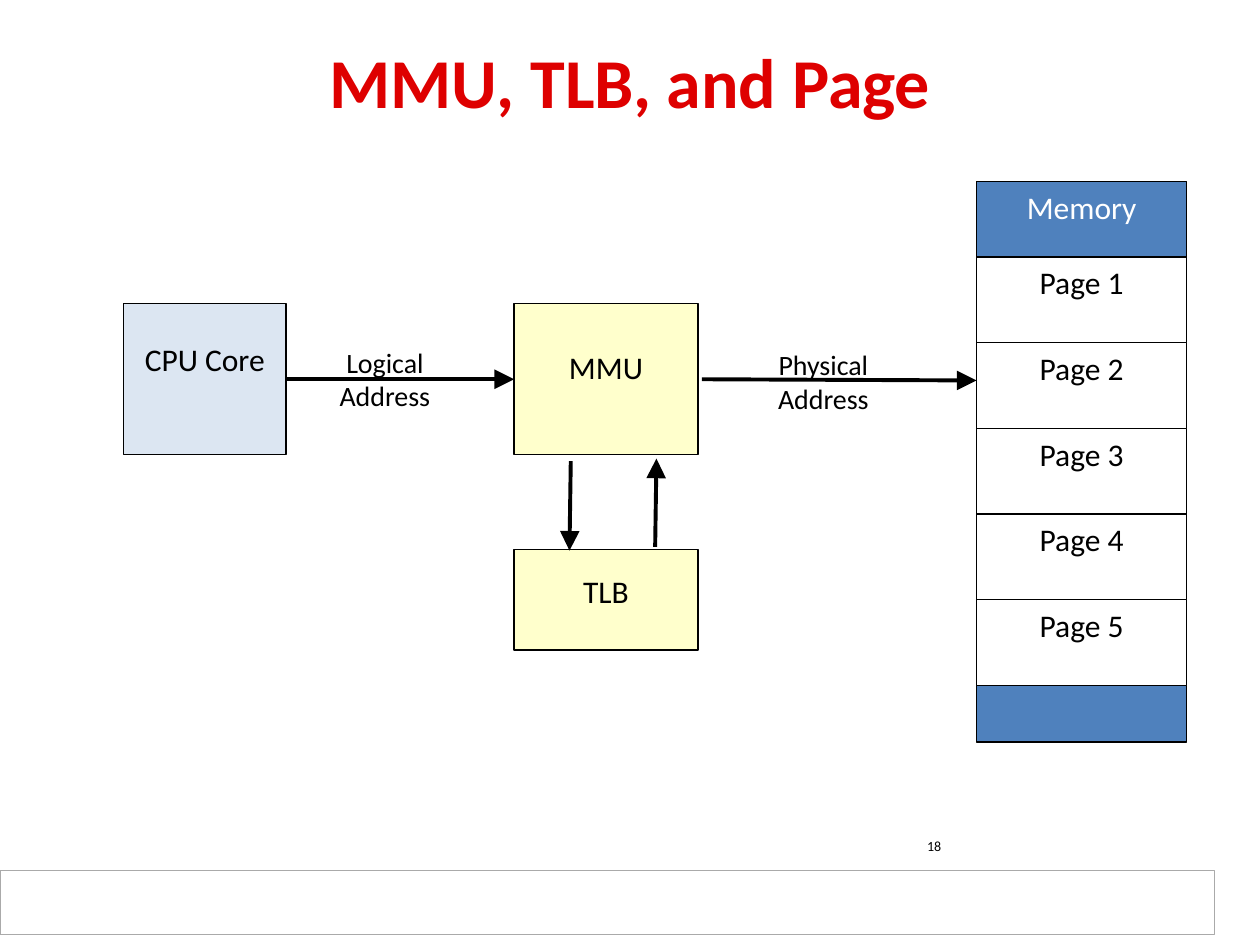
from pptx import Presentation
from pptx.dml.color import RGBColor
from pptx.enum.shapes import MSO_CONNECTOR as Conn, MSO_SHAPE as Shape
from pptx.enum.text import MSO_ANCHOR as Anchor, PP_ALIGN as Align
from pptx.oxml.ns import qn
from pptx.util import Inches, Pt
from lxml.etree import SubElement

RED = RGBColor(0xDE, 0x00, 0x00)
BLACK = RGBColor(0, 0, 0)
WHITE = RGBColor(0xFF, 0xFF, 0xFF)
GRAY = RGBColor(0xAA, 0xAA, 0xAA)
ICE = RGBColor(0xDC, 0xE6, 0xF2)
CREAM = RGBColor(0xFF, 0xFF, 0xCC)
BLUE = RGBColor(0x4F, 0x81, 0xBD)

TITLE = {"size": Pt(40), "bold": True}
BODY = {"size": Pt(18)}
LABEL = {"size": Pt(16)}
SMALL = {"size": Pt(8)}
HEAD = {"type": "triangle", "w": "lg", "len": "lg"}


def write(frame, text, form, color=BLACK, align=Align.CENTER):
    frame.text = text
    for para in frame.paragraphs:
        para.alignment = align
        para.font.name = "Calibri"
        para.font.color.rgb = color
        for key, value in form.items():
            setattr(para.font, key, value)


def add_box(slide, box, fill, text="", top=0.05, color=BLACK, edge=BLACK):
    """Draw a rectangle whose text starts the given inches below its top."""
    shape = slide.shapes.add_shape(Shape.RECTANGLE, *map(Inches, box))
    shape.shadow.inherit = False
    shape.fill.solid()
    shape.fill.fore_color.rgb = fill
    shape.line.color.rgb = edge
    shape.line.width = Pt(0.75)
    frame = shape.text_frame
    frame.vertical_anchor = Anchor.TOP
    frame.margin_top = Inches(top)
    if text:
        write(frame, text, BODY, color)
    return shape


def add_arrow(slide, start, end):
    line = slide.shapes.add_connector(Conn.STRAIGHT, *map(Inches, start + end))
    line.line.color.rgb = BLACK
    line.line.width = Pt(2.25)
    SubElement(line.line._get_or_add_ln(), qn("a:tailEnd"), HEAD)
    SubElement(line._element.spPr, qn("a:effectLst"))
    return line


def add_text(slide, box, text, form, align=Align.CENTER, wrap=False):
    frame = slide.shapes.add_textbox(*map(Inches, box)).text_frame
    frame.word_wrap = wrap
    write(frame, text, form, align=align)


def add_title(slide, box, text):
    title = slide.shapes.title
    title.left, title.top, title.width, title.height = map(Inches, box)
    title.text_frame.vertical_anchor = Anchor.MIDDLE
    write(title.text_frame, text, TITLE, RED)


def add_units(slide, box):
    """Draw the core, the MMU and the TLB with the arrows between them."""
    x, y, width, height = box
    tall, wide = 1.2, 1.46
    mid = x + width - wide
    low = y + height - 0.8
    core = add_box(slide, (x, y, 1.29, tall), ICE, "CPU Core", 0.29)
    mmu = add_box(slide, (mid, y, wide, tall), CREAM, "MMU", 0.35)
    add_box(slide, (mid, low, wide, 0.8), CREAM, "TLB", 0.18)

    link = add_arrow(slide, (x + 1.29, y + 0.6), (mid, y + 0.6))
    link.begin_connect(core, 3)
    link.end_connect(mmu, 1)
    add_arrow(slide, (mid + 0.45, y + 1.25), (mid + 0.44, low + 0.01))
    add_arrow(slide, (mid + 1.12, low - 0.02), (mid + 1.13, y + 1.23))
    add_text(slide, (x + 1.52, y + 0.28, 1.11, 0.82), "Logical\nAddress", LABEL)


def add_memory(slide, box):
    """Draw the memory column with its stack of pages."""
    x, y, width, _ = box
    add_box(slide, box, BLUE, "Memory", color=WHITE)
    pitch = 0.68
    for i in range(5):
        page = (x, y + 0.6 + i * pitch, width, pitch)
        add_box(slide, page, WHITE, f"Page {i + 1}")


def add_access(slide, box):
    """Draw the labelled arrow from the MMU to the memory."""
    x, y, width, height = box
    add_arrow(slide, (x, y + 0.3), (x + width, y + 0.31))
    add_text(slide, (x + 0.41, y, 1.11, height), "Physical\nAddress", LABEL)


def add_footer(slide, box):
    x, y, width, _ = box
    add_box(slide, box, WHITE, edge=GRAY)
    add_text(slide, (x + 7.26, y - 0.31, 2.33, 0.23), "18", SMALL,
             Align.LEFT, True)


def main():
    deck = Presentation()
    deck.slide_width, deck.slide_height = Inches(10), Inches(7.5)
    slide = deck.slides.add_slide(deck.slide_layouts[5])
    add_footer(slide, (0, 6.91, 9.64, 0.51))
    add_title(slide, (0.5, 0.2, 9, 0.88), "MMU, TLB, and Page")
    add_units(slide, (0.98, 2.41, 4.56, 2.75))
    add_memory(slide, (7.75, 1.44, 1.67, 4.45))
    add_access(slide, (5.57, 2.71, 2.18, 0.82))
    deck.save("out.pptx")


if __name__ == "__main__":
    main()
